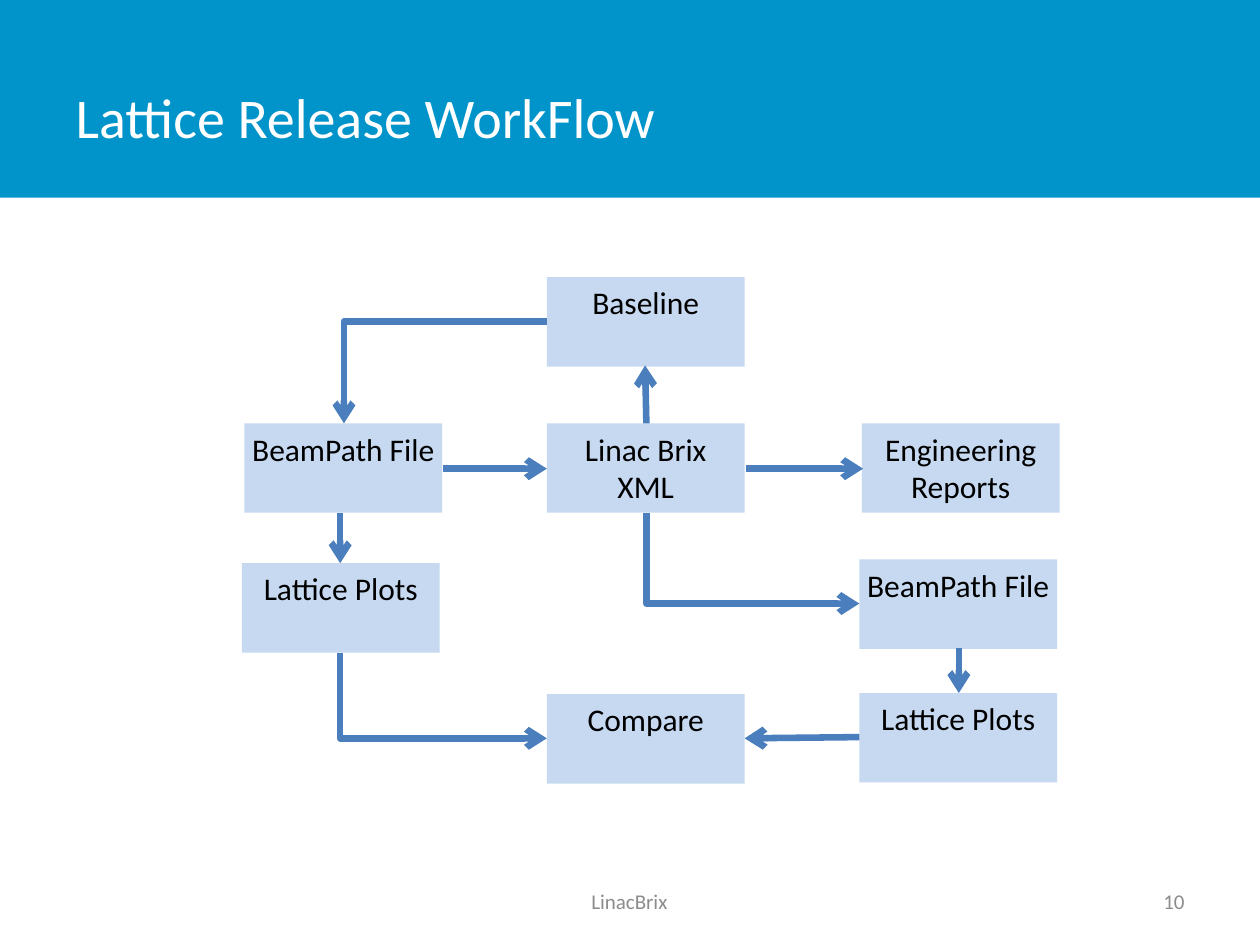
from lxml import etree
from pptx import Presentation
from pptx.dml.color import RGBColor
from pptx.enum import shapes, text
from pptx.oxml.ns import qn
from pptx.util import Inches, Pt

COLORS = {"banner": "0094CA", "box": "C6D9F1", "arrow": "4B7EBC",
          "title": "FFFFFF", "label": "000000", "footer": "8C8C8C"}
FONT = "Calibri"
BOX_W, BOX_H = 1.57, 0.71
TITLE = "Lattice Release WorkFlow"
BOXES = [
    (["BeamPath File"], 1.94, 3.36),
    (["Linac Brix", "XML"], 4.34, 3.36),
    (["Lattice Plots"], 1.92, 4.47),
    (["Engineering", "Reports"], 6.84, 3.36),
    (["Baseline"], 4.34, 2.2),
    (["BeamPath File"], 6.82, 4.44),
    (["Lattice Plots"], 6.82, 5.5),
    (["Compare"], 4.34, 5.51),
]
ARROWS = [
    ("straight", (3.52, 3.72), (4.34, 3.72)),
    ("straight", (5.92, 3.72), (6.85, 3.72)),
    ("down_first", (5.13, 4.07), (6.82, 4.79)),
    ("across_first", (4.34, 2.55), (2.73, 3.36)),
    ("straight", (7.61, 5.14), (7.61, 5.5)),
    ("straight", (6.82, 5.85), (5.91, 5.86)),
    ("down_first", (2.7, 5.18), (4.34, 5.86)),
    ("straight", (5.13, 3.36), (5.12, 2.9)),
    ("straight", (2.7, 4.07), (2.7, 4.47)),
]
FOOTERS = [
    ("LinacBrix", (2.87, 6.95, 4.25, 0.4), text.PP_ALIGN.CENTER),
    ("10", (7.17, 6.95, 2.33, 0.4), text.PP_ALIGN.RIGHT),
]


def rgb(name):
    return RGBColor.from_string(COLORS[name])


def write(tf, lines, size, color, align, anchor):
    tf.vertical_anchor = anchor
    for i, line in enumerate(lines):
        p = tf.add_paragraph() if i else tf.paragraphs[0]
        p.alignment = align
        r = p.add_run()
        r.text = line
        r.font.name, r.font.size = FONT, Pt(size)
        r.font.color.rgb = rgb(color)


def add_rect(s, box, fill):
    sp = s.shapes.add_shape(shapes.MSO_SHAPE.RECTANGLE, *map(Inches, box))
    sp.shadow.inherit = False
    sp.fill.solid()
    sp.fill.fore_color.rgb = rgb(fill)
    sp.line.fill.background()
    return sp


def add_arrow(s, route, start, end):
    kind = shapes.MSO_CONNECTOR.STRAIGHT if route == "straight" else shapes.MSO_CONNECTOR.ELBOW
    cx = s.shapes.add_connector(kind, *map(Inches, start + end))
    cx.line.color.rgb = rgb("arrow")
    cx.line.width = Pt(3.75)
    etree.SubElement(cx.line._get_or_add_ln(), qn("a:tailEnd"), type="arrow")
    sp_pr = cx._element.spPr
    etree.SubElement(sp_pr, qn("a:effectLst"))
    if route == "across_first":
        sp_pr.find(qn("a:prstGeom")).set("prst", "bentConnector2")
    elif route == "down_first":
        cx_adj = sp_pr.find(qn("a:prstGeom")).find(qn("a:avLst"))
        etree.SubElement(cx_adj, qn("a:gd"), name="adj1", fmla="val 0")


def main():
    prs = Presentation()
    prs.slide_width, prs.slide_height = Inches(10), Inches(7.5)
    s = prs.slides.add_slide(prs.slide_layouts[5])

    banner = add_rect(s, (0, 0, 10, 1.57), "banner")
    s.shapes._spTree.insert(2, banner._element)

    title = s.shapes.title
    title.left, title.top, title.width, title.height = map(Inches, (0.5, 0.3, 7.81, 1.25))
    write(title.text_frame, [TITLE], 32, "title", text.PP_ALIGN.LEFT, text.MSO_ANCHOR.MIDDLE)

    for label, box, align in FOOTERS:
        tf = s.shapes.add_textbox(*map(Inches, box)).text_frame
        tf.word_wrap = True
        write(tf, [label], 12, "footer", align, text.MSO_ANCHOR.MIDDLE)

    for lines, x, y in BOXES:
        tf = add_rect(s, (x, y, BOX_W, BOX_H), "box").text_frame
        tf.word_wrap = False
        write(tf, lines, 18, "label", text.PP_ALIGN.CENTER, text.MSO_ANCHOR.TOP)

    for route, start, end in ARROWS:
        add_arrow(s, route, start, end)

    prs.save("out.pptx")


if __name__ == "__main__":
    main()
